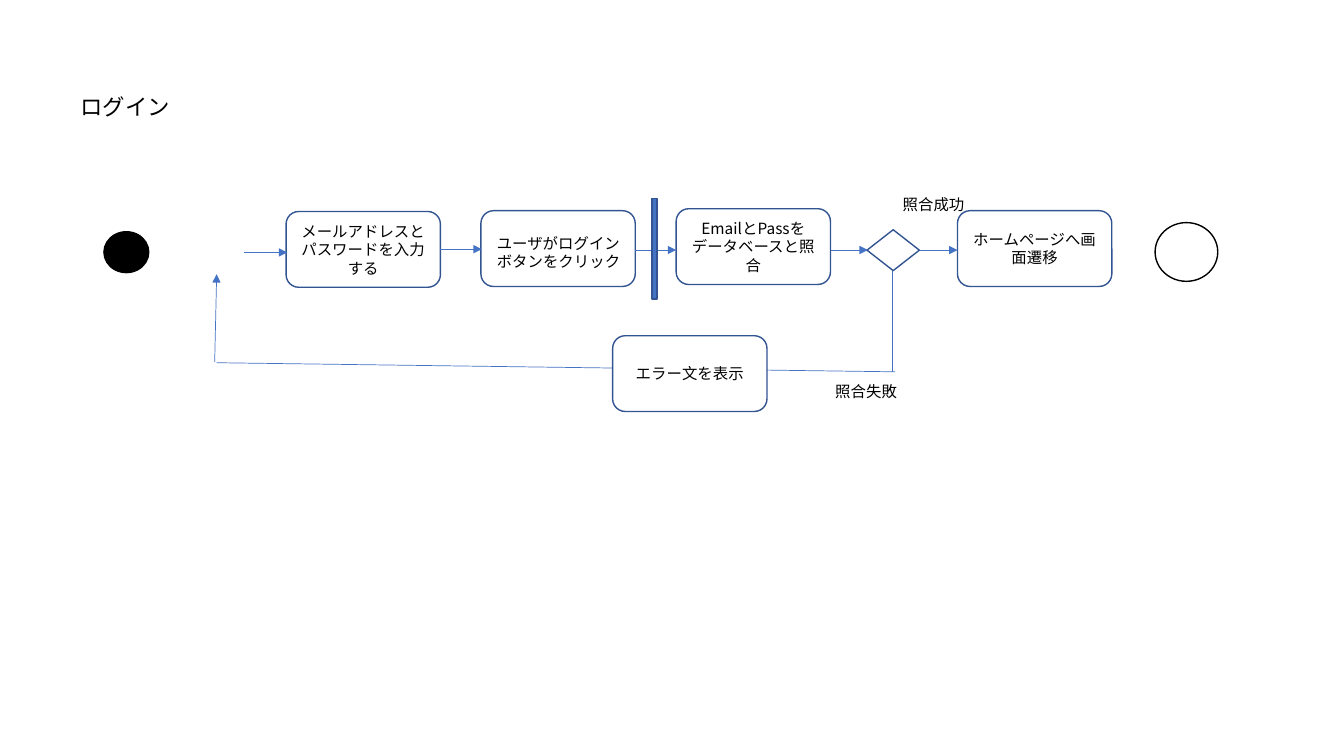
from lxml.etree import SubElement
from pptx import Presentation
from pptx.dml.color import RGBColor
from pptx.enum.shapes import MSO_CONNECTOR, MSO_SHAPE
from pptx.enum.text import MSO_ANCHOR, MSO_AUTO_SIZE, PP_ALIGN
from pptx.oxml.ns import qn
from pptx.util import Cm, Pt

BLACK = RGBColor(0x00, 0x00, 0x00)
WHITE = RGBColor(0xFF, 0xFF, 0xFF)
BLUE = RGBColor(0x44, 0x72, 0xC4)
NAVY = RGBColor(0x32, 0x54, 0x91)
FONT = "Noto Sans CJK JP"

# Content, lengths in cm
BOX_W, BOX_H = 3.89, 1.91
FLOW_Y = 6.3

# Step boxes: text, left, top
STEPS = [
    ("メールアドレスとパスワードを入力する", 7.21, 5.33),
    ("", 12.12, 5.31),
    ("EmailとPassをデータベースと照合", 17.04, 5.26),
    ("ホームページへ画面遷移", 24.13, 5.31),
    ("エラー文を表示", 15.44, 8.46),
]

# Nodes: shape, left, top, width, height, fill, line
NODES = [
    (MSO_SHAPE.FLOWCHART_CONNECTOR, 2.62, 5.84, 1.13, 1.03, BLACK, BLACK),
    (MSO_SHAPE.FLOWCHART_DECISION, 21.85, 5.79, 1.32, 1.03, WHITE, NAVY),
    (MSO_SHAPE.FLOWCHART_CONNECTOR, 29.11, 5.61, 1.58, 1.48, WHITE, BLACK),
    (MSO_SHAPE.RECTANGLE, 16.43, 5.0, 0.13, 2.54, BLUE, NAVY),
]

# Labels: text, left, top, width, height, size, wrap
LABELS = [
    ("ログイン", 1.78, 2.21, 2.79, 0.94, 16, False),
    ("照合成功", 22.5, 4.8, 2.08, 0.73, 11, False),
    ("照合失敗", 20.8, 9.5, 2.08, 0.73, 11, False),
    ("ユーザがログインボタンをクリック", 12.27, 5.77, 3.63, 1.19, 11, True),
]

# Lines: start x, start y, end x, end y, arrow
LINES = [
    (22.56, 9.37, 5.46, 9.14, False),
    (22.5, 6.81, 22.5, 9.37, False),
    (5.41, 9.12, 5.46, 6.91, True),
    (6.15, 6.36, 7.24, 6.36, True),
    (11.1, 6.28, 12.14, 6.28, True),
    (16.0, FLOW_Y, 17.04, FLOW_Y, True),
    (20.93, FLOW_Y, 21.87, FLOW_Y, True),
    (23.16, FLOW_Y, 24.13, FLOW_Y, True),
]

deck = Presentation()
deck.slide_width, deck.slide_height = Cm(33.87), Cm(19.05)
slide = deck.slides.add_slide(deck.slide_layouts[6])


def write(frame, text, size, align):
    para = frame.paragraphs[0]
    para.alignment = align
    run = para.add_run()
    run.text = text
    run.font.size = Pt(size)
    run.font.name = FONT
    run.font.color.rgb = BLACK
    SubElement(run.font._element, qn("a:ea"), typeface=FONT)


def add_node(kind, x, y, w, h, fill, line):
    node = slide.shapes.add_shape(kind, Cm(x), Cm(y), Cm(w), Cm(h))
    node.shadow.inherit = False
    node.fill.solid()
    node.fill.fore_color.rgb = fill
    node.line.color.rgb = line
    node.line.width = Pt(1)
    return node


def add_line(x1, y1, x2, y2, arrow):
    link = slide.shapes.add_connector(
        MSO_CONNECTOR.STRAIGHT, Cm(x1), Cm(y1), Cm(x2), Cm(y2))
    link.line.color.rgb = BLUE
    link.line.width = Pt(0.5)
    props = link._element.spPr
    if arrow:
        SubElement(props.find(qn("a:ln")), qn("a:tailEnd"), type="triangle")
    SubElement(props, qn("a:effectLst"))


# Return path lies behind the error box
add_line(*LINES[0])

# Step boxes
for text, x, y in STEPS:
    box = add_node(MSO_SHAPE.ROUNDED_RECTANGLE, x, y, BOX_W, BOX_H, WHITE, NAVY)
    if text:
        box.text_frame.vertical_anchor = MSO_ANCHOR.MIDDLE
        write(box.text_frame, text, 11, PP_ALIGN.CENTER)

# Other lines and arrows
for ends in LINES[1:]:
    add_line(*ends)

# Start, decision, end and bar
for node in NODES:
    add_node(*node)

# Labels
for text, x, y, w, h, size, wrap in LABELS:
    frame = slide.shapes.add_textbox(Cm(x), Cm(y), Cm(w), Cm(h)).text_frame
    frame.word_wrap = wrap
    frame.auto_size = MSO_AUTO_SIZE.SHAPE_TO_FIT_TEXT
    write(frame, text, size, PP_ALIGN.LEFT)

deck.save("out.pptx")
